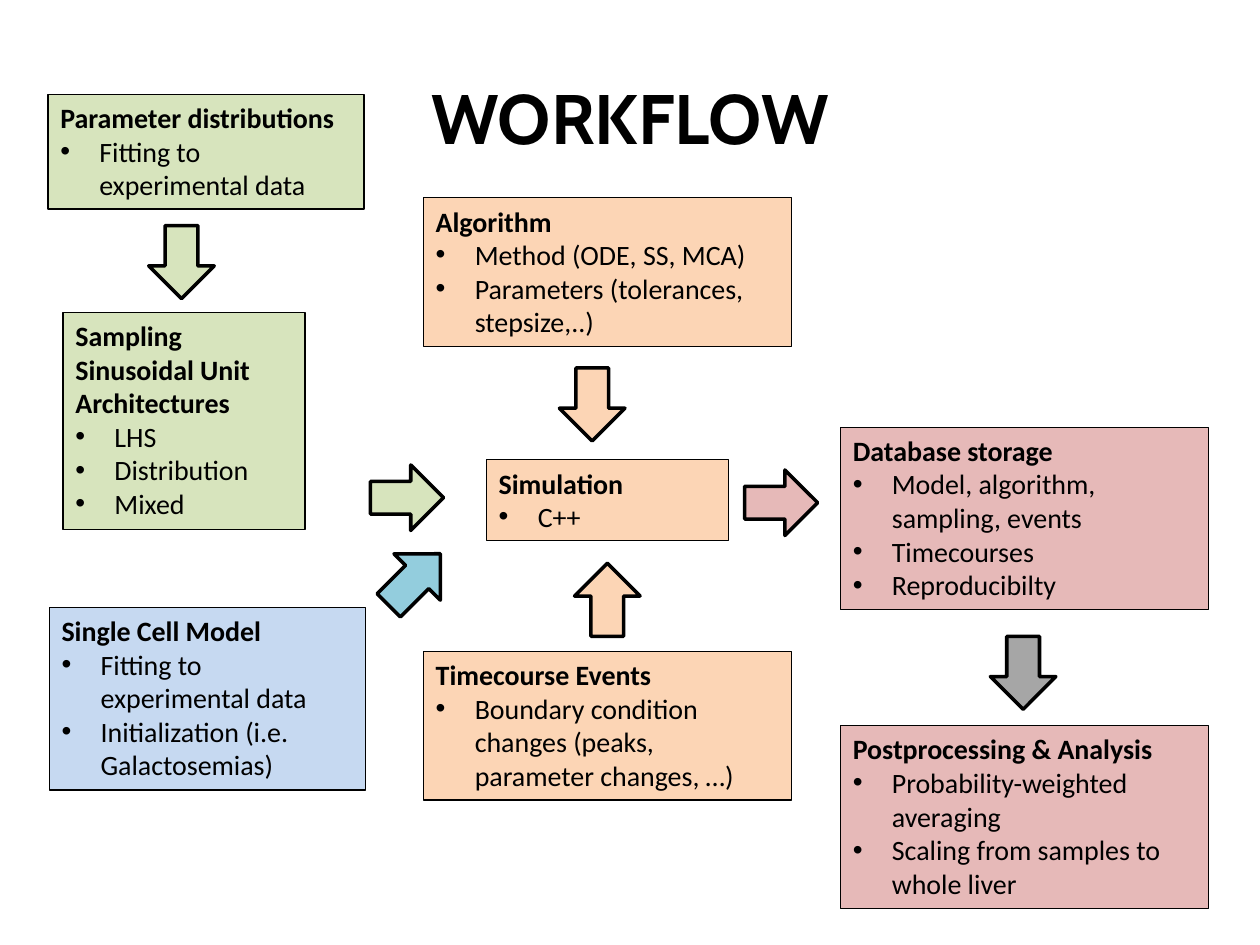
from lxml import etree
from pptx import Presentation
from pptx.dml.color import RGBColor
from pptx.enum.shapes import MSO_SHAPE
from pptx.enum.text import MSO_ANCHOR, MSO_AUTO_SIZE, PP_ALIGN
from pptx.oxml.ns import qn
from pptx.util import Pt

RECT, ARROW = MSO_SHAPE.RECTANGLE, MSO_SHAPE.RIGHT_ARROW
TOP, MIDDLE = MSO_ANCHOR.TOP, MSO_ANCHOR.MIDDLE
LEFT, CENTER = PP_ALIGN.LEFT, PP_ALIGN.CENTER
FIT_SHAPE = MSO_AUTO_SIZE.SHAPE_TO_FIT_TEXT

PX = 9144  # EMU per px, 100 px to the inch
INDENT = 31
COLORS = {
    "black": "000000",
    "green": "D7E4BD",
    "orange": "FCD5B5",
    "rose": "E6B9B8",
    "blue": "C6D9F1",
    "teal": "93CDDD",
    "gray": "A6A6A6",
}


def rgb(name):
    return RGBColor.from_string(COLORS[name])


class Deck:
    """Holds the style and the current slide."""

    def __init__(self, width, height):
        self.prs = Presentation()
        self.prs.slide_width, self.prs.slide_height = width * PX, height * PX
        self.slide = self.prs.slides.add_slide(self.prs.slide_layouts[5])

    def run(self, p, text, size, font, bold):
        r = p.add_run()
        r.text = text
        r.font.size, r.font.name, r.font.bold = Pt(size), font, bold
        r.font.color.rgb = rgb("black")

    def title(self, text, x, y, w, h):
        s = self.slide.shapes.title
        s.left, s.top, s.width, s.height = (v * PX for v in (x, y, w, h))
        s.text_frame.vertical_anchor = MIDDLE
        p = s.text_frame.paragraphs[0]
        p.alignment = CENTER
        self.run(p, text, 40, "Cabin", True)

    def shape(self, kind, x, y, w, h, fill, weight):
        s = self.slide.shapes.add_shape(kind, x * PX, y * PX, w * PX, h * PX)
        s.shadow.inherit = False
        s.fill.solid()
        s.fill.fore_color.rgb = rgb(fill)
        s.line.color.rgb = rgb("black")
        s.line.width = Pt(weight)
        return s

    def bullet(self, p):
        pPr = p._p.get_or_add_pPr()
        pPr.set("marL", str(INDENT * PX))
        pPr.set("indent", str(-INDENT * PX))
        etree.SubElement(pPr, qn("a:buFont")).set("typeface", "Arial")
        etree.SubElement(pPr, qn("a:buChar")).set("char", "•")

    def box(self, x, y, w, h, fill, heading, items):
        tf = self.shape(RECT, x, y, w, h, fill, 0.75).text_frame
        tf.word_wrap, tf.auto_size, tf.vertical_anchor = True, FIT_SHAPE, TOP
        p = tf.paragraphs[0]
        p.alignment = LEFT
        self.run(p, heading, 16, "Calibri", True)
        for item in items:
            p = tf.add_paragraph()
            p.alignment = LEFT
            self.bullet(p)
            self.run(p, item, 16, "Calibri", False)

    def arrow(self, x, y, fill, rotation=0):
        self.shape(ARROW, x, y, 58, 52, fill, 2).rotation = rotation


# x, y, width, height, fill, heading, bullets
BOXES = [
    # Inputs
    (38, 75, 251, 91, "green", "Parameter distributions",
     ["Fitting to experimental data"]),
    (50, 248, 192, 172, "green", "Sampling Sinusoidal Unit Architectures",
     ["LHS", "Distribution", "Mixed"]),
    (39, 482, 251, 145, "blue", "Single Cell Model",
     ["Fitting to experimental data", "Initialization (i.e. Galactosemias)"]),
    # Simulation
    (336, 157, 292, 118, "orange", "Algorithm",
     ["Method (ODE, SS, MCA)", "Parameters (tolerances, stepsize,..)"]),
    (386, 365, 192, 64, "orange", "Simulation", ["C++"]),
    (336, 517, 292, 118, "orange", "Timecourse Events",
     ["Boundary condition changes (peaks, parameter changes, …)"]),
    # Results
    (667, 339, 292, 145, "rose", "Database storage",
     ["Model, algorithm, sampling, events", "Timecourses", "Reproducibilty"]),
    (667, 576, 292, 145, "rose", "Postprocessing & Analysis",
     ["Probability-weighted averaging", "Scaling from samples to whole liver"]),
]

# x, y, fill, rotation
ARROWS = [
    (115, 182, "green", 90),    # distributions to sampling
    (294, 369, "green", 0),     # sampling to simulation
    (300, 434, "teal", 315),    # cell model to simulation
    (441, 295, "orange", 90),   # algorithm to simulation
    (453, 450, "orange", 270),  # events to simulation
    (591, 373, "rose", 0),      # simulation to storage
    (783, 508, "gray", 90),     # storage to analysis
]


def main():
    deck = Deck(1000, 750)
    deck.title("WORKFLOW", 50, 30, 900, 125)
    for box in BOXES:
        deck.box(*box)
    for arrow in ARROWS:
        deck.arrow(*arrow)
    deck.prs.save("out.pptx")


if __name__ == "__main__":
    main()
